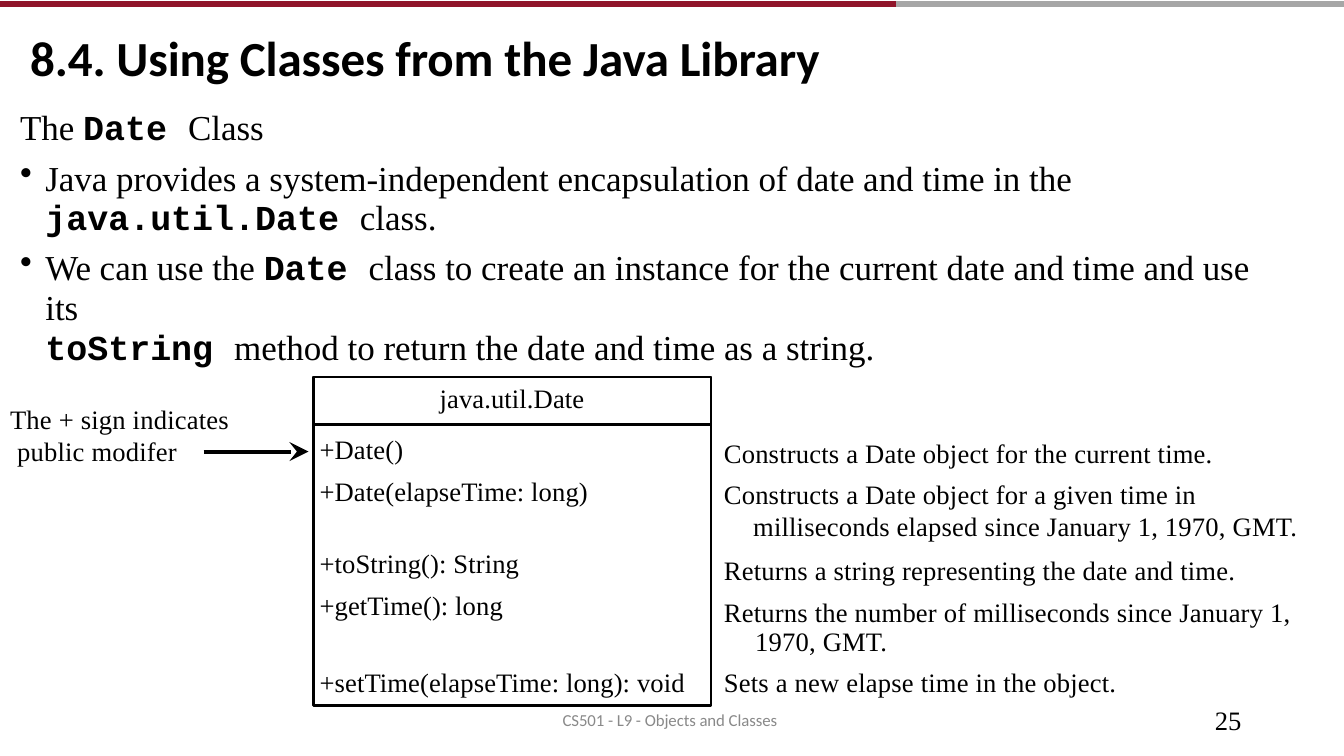
from dataclasses import dataclass

from lxml.etree import SubElement
from pptx import Presentation
from pptx.dml.color import RGBColor
from pptx.enum.shapes import MSO_CONNECTOR, MSO_SHAPE
from pptx.enum.text import MSO_ANCHOR, PP_ALIGN
from pptx.oxml.ns import qn
from pptx.util import Inches, Pt


@dataclass(frozen=True)
class Theme:
    black: RGBColor = RGBColor(0x00, 0x00, 0x00)
    red: RGBColor = RGBColor(0x90, 0x15, 0x2A)
    rule_gray: RGBColor = RGBColor(0xA6, 0xA6, 0xA6)
    footer_gray: RGBColor = RGBColor(0x89, 0x89, 0x89)
    heading_font: str = "Calibri"
    body_font: str = "Times New Roman"
    code_font: str = "Courier New"
    title_size: float = 35
    body_size: float = 25
    detail_size: float = 19
    footer_size: float = 12


theme = Theme()


def write(shape, paragraphs, size, top=0.0, font=theme.body_font,
          color=theme.black, bold=False, tracking=0.0):
    """Fill a shape with dicts of text and layout; `backticks` mark code."""
    frame = shape.text_frame
    frame.word_wrap = True
    frame.vertical_anchor = MSO_ANCHOR.TOP
    frame.margin_left = frame.margin_right = frame.margin_bottom = 0
    frame.margin_top = Inches(top)
    for index, item in enumerate(paragraphs):
        paragraph = frame.add_paragraph() if index else frame.paragraphs[0]
        paragraph.alignment = item.get("align", PP_ALIGN.LEFT)
        paragraph.space_before = Pt(item.get("before", 0))
        if "line" in item:
            paragraph.line_spacing = Pt(item["line"])
        properties = paragraph._p.get_or_add_pPr()
        properties.set("marL", str(Inches(item.get("left", 0))))
        properties.set("indent", str(Inches(item.get("hang", 0))))
        if item.get("bullet"):
            SubElement(properties, qn("a:buChar")).set("char", "•")
        for position, piece in enumerate(item["text"].split("`")):
            if not piece:
                continue
            is_code = position % 2 == 1
            run = paragraph.add_run()
            run.text = piece
            run.font.name = theme.code_font if is_code else font
            run.font.size = Pt(size)
            run.font.bold = bold or is_code
            run.font.color.rgb = color
            run._r.get_or_add_rPr().set("spc", str(round(tracking * 100)))


def add_line(x1, x2, y, color, width):
    connector = slide.shapes.add_connector(
        MSO_CONNECTOR.STRAIGHT, Inches(x1), Inches(y), Inches(x2), Inches(y))
    connector.line.color.rgb = color
    connector.line.width = Pt(width)
    SubElement(connector._element.spPr, qn("a:effectLst"))
    return connector


presentation = Presentation()
presentation.slide_width = Inches(13.33)
presentation.slide_height = Inches(7.5)
slide = presentation.slides.add_slide(presentation.slide_layouts[6])

# Top rule and title
add_line(8.89, 13.33, 0.04, theme.rule_gray, 4)
add_line(0, 8.89, 0.04, theme.red, 4)
title = slide.shapes.add_textbox(Inches(0.29), Inches(0.26), Inches(8.2), Inches(0.61))
write(title, [{"text": "8.4. Using Classes from the Java Library", "left": 0.01, "before": 1}],
      theme.title_size, 0.01, theme.heading_font, bold=True, tracking=-0.1)

# Introduction
introduction = slide.shapes.add_textbox(Inches(0.19), Inches(0.92), Inches(12.56), Inches(2.34))
write(introduction, [
    {"text": "The `Date `Class", "left": 0.01, "before": 9.2},
    {"text": "Java provides a system-independent encapsulation of date and time in the",
     "left": 0.26, "hang": -0.25, "bullet": True, "before": 8.2, "line": 27.9},
    {"text": "`java.util.Date `class.", "left": 0.26, "line": 27.9},
    {"text": "We can use the `Date `class to create an instance for the current date and time"
             " and use its",
     "left": 0.26, "hang": -0.25, "bullet": True, "before": 7, "line": 28.6},
    {"text": "`toString `method to return the date and time as a string.",
     "left": 0.26, "line": 28.6},
], theme.body_size, 0.13)

# Class diagram: outer frame, then name compartment
box_left, box_top, box_width = 3.11, 3.74, 3.94
for height in (3.26, 0.47):
    compartment = slide.shapes.add_shape(
        MSO_SHAPE.RECTANGLE, Inches(box_left), Inches(box_top),
        Inches(box_width), Inches(height))
    compartment.shadow.inherit = False
    compartment.fill.background()
    compartment.line.color.rgb = theme.black
    compartment.line.width = Pt(1.75)
write(compartment, [{"text": "java.util.Date", "align": PP_ALIGN.CENTER, "before": 3.3}],
      theme.detail_size, 0.05, tracking=0.1)

method_groups = [
    (4.19, 0.86, 0.11, [("+Date()", 8.1), ("+Date(elapseTime: long)", 7.2)]),
    (5.32, 0.86, 0.11, [("+toString(): String", 8.1), ("+getTime(): long", 7.2)]),
    (6.59, 0.35, 0.02, [("+setTime(elapseTime: long): void", 1.4)]),
]
for top, height, inset, methods in method_groups:
    method_box = slide.shapes.add_textbox(
        Inches(3.17), Inches(top), Inches(3.8), Inches(height))
    write(method_box, [{"text": text, "before": before} for text, before in methods],
          theme.detail_size, inset, tracking=0.1)

# Method descriptions
descriptions = slide.shapes.add_textbox(Inches(7.17), Inches(4.22), Inches(5.78), Inches(2.73))
write(descriptions, [
    {"text": "Constructs a Date object for the current time.", "left": 0.01, "before": 8.1},
    {"text": "Constructs a Date object for a given time in milliseconds elapsed since"
             " January 1, 1970, GMT.", "left": 0.3, "hang": -0.29, "before": 7},
    {"text": "Returns a string representing the date and time.",
     "left": 0.01, "before": 1.6, "line": 30},
    {"text": "Returns the number of milliseconds since January 1,", "left": 0.01, "line": 30},
    {"text": "1970, GMT.", "left": 0.32, "line": 20.7},
    {"text": "Sets a new elapse time in the object.", "left": 0.01, "before": 6.6},
], theme.detail_size, 0.11, tracking=0.17)

# Modifier note with its arrow
note = slide.shapes.add_textbox(Inches(0.09), Inches(3.98), Inches(2.3), Inches(0.67))
write(note, [
    {"text": "The + sign indicates", "left": 0.01, "before": 1.2},
    {"text": "public modifer", "left": 0.08},
], theme.detail_size, 0.02, tracking=0.17)
arrow = add_line(2.02, 3.06, 4.48, theme.black, 2.75)
arrow_head = SubElement(arrow.line._get_or_add_ln(), qn("a:tailEnd"))
for name, value in (("type", "stealth"), ("w", "lg"), ("len", "lg")):
    arrow_head.set(name, value)

# Footer
page_number = slide.shapes.add_textbox(Inches(12.01), Inches(7), Inches(0.36), Inches(0.32))
write(page_number, [{"text": "25", "left": 0.04, "line": 21.8}], theme.detail_size)
footer = slide.shapes.add_textbox(Inches(5.57), Inches(7.03), Inches(2.3), Inches(0.23))
write(footer, [{"text": "CS501 - L9 - Objects and Classes", "left": 0.01, "before": 0.4}],
      theme.footer_size, 0.01, theme.heading_font, theme.footer_gray, tracking=-0.05)

presentation.save("out.pptx")
